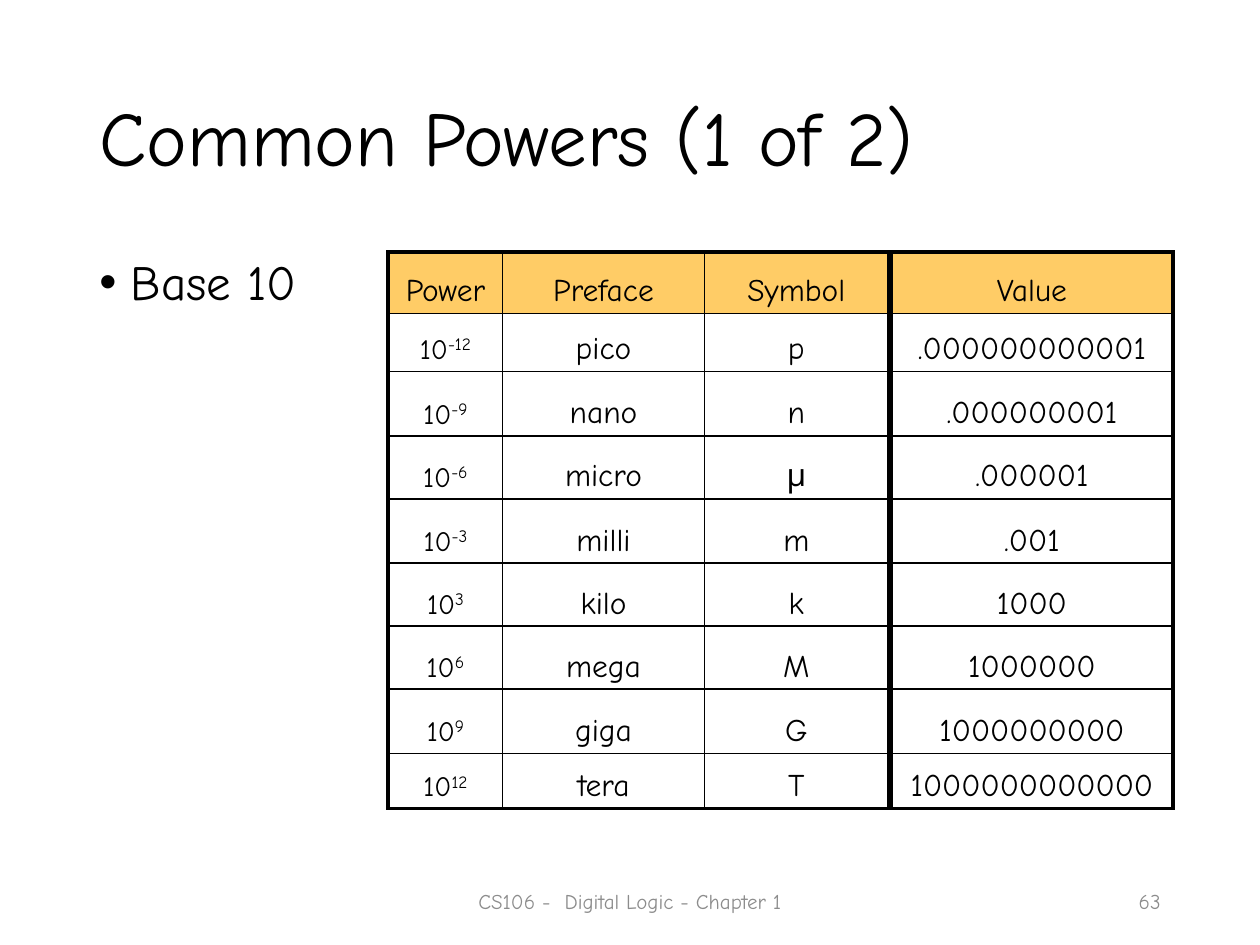
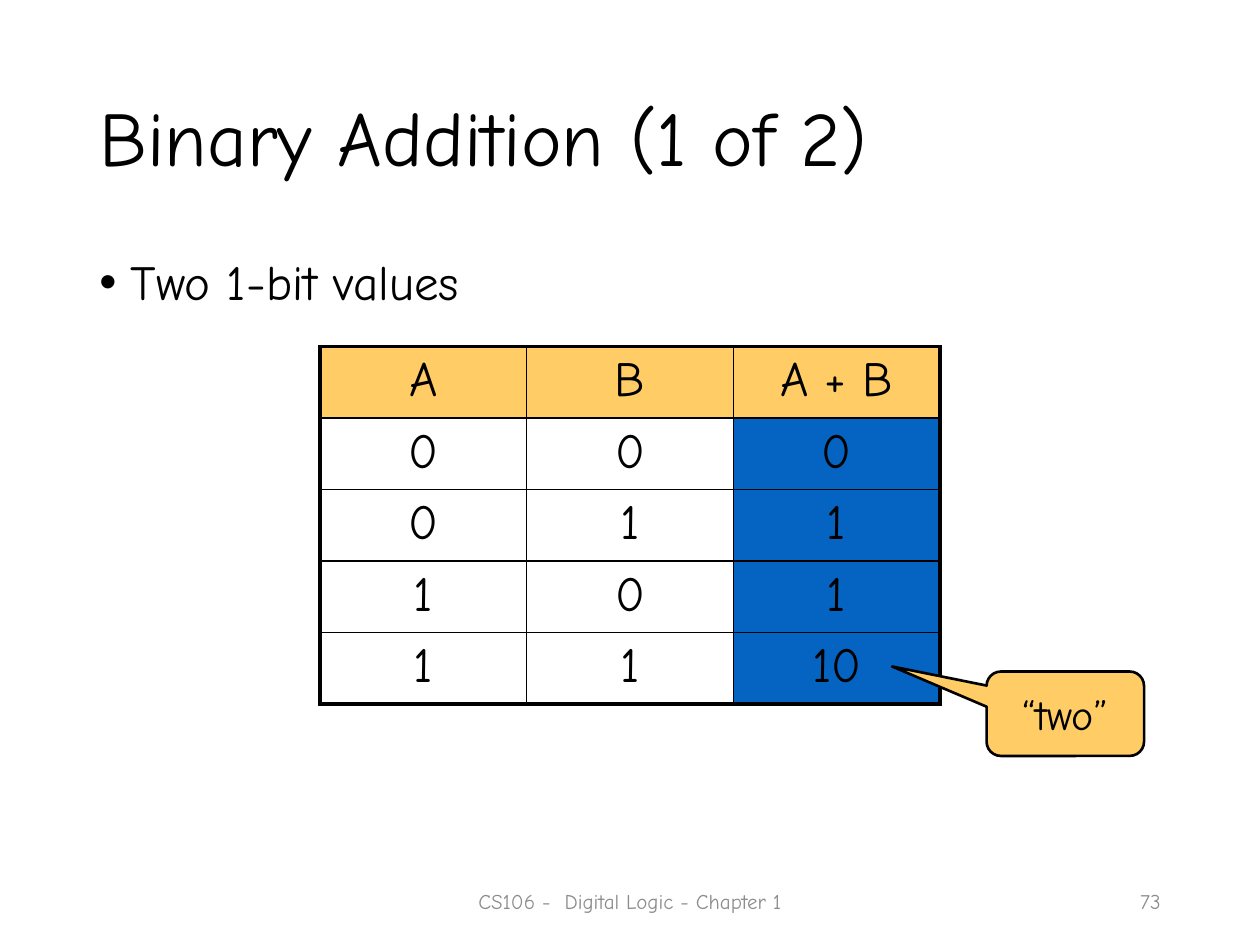
from dataclasses import dataclass

from lxml import etree
from pptx import Presentation
from pptx.dml.color import RGBColor
from pptx.enum.shapes import MSO_SHAPE
from pptx.enum.text import MSO_ANCHOR, PP_ALIGN
from pptx.oxml.ns import qn
from pptx.slide import Slide
from pptx.table import _Cell
from pptx.text.text import TextFrame, _Paragraph
from pptx.util import Inches, Pt

FONT = "Comic Neue"
BLACK = RGBColor(0x00, 0x00, 0x00)
GRAY = RGBColor(0x8C, 0x8C, 0x8C)
AMBER = RGBColor(0xFF, 0xCC, 0x66)
BLUE = RGBColor(0x05, 0x63, 0xC1)
THICK, THIN = Pt(2.25), Pt(1)
FOOTER = "CS106 -  Digital Logic - Chapter 1"
CONTENT_LEFT, CONTENT_WIDTH = 0.69, 8.62
TITLE_ONLY = 5


@dataclass
class Grid:
    """A table with a coloured header row; "^" in a cell starts a superscript."""
    left: float
    top: float
    column_widths: list[float]
    row_heights: list[float]
    rows: list[list[str]]
    size: float
    anchor: MSO_ANCHOR = MSO_ANCHOR.TOP
    line_spacing: float = 1.0
    result_column: int | None = None


POWERS = [
    ["Power", "Preface", "Symbol", "Value"],
    ["10^-12", "pico", "p", ".000000000001"],
    ["10^-9", "nano", "n", ".000000001"],
    ["10^-6", "micro", "μ", ".000001"],
    ["10^-3", "milli", "m", ".001"],
    ["10^3", "kilo", "k", "1000"],
    ["10^6", "mega", "M", "1000000"],
    ["10^9", "giga", "G", "1000000000"],
    ["10^12", "tera", "T", "1000000000000"],
]
POWER_ROW_HEIGHTS = [0.49, 0.46, 0.51, 0.5, 0.51, 0.5, 0.5, 0.51, 0.44]
ADDITION = [
    ["A", "B", "A + B"],
    ["0", "0", "0"],
    ["0", "1", "1"],
    ["1", "0", "1"],
    ["1", "1", "10"],
]


def style(paragraph: _Paragraph, size: float, color: RGBColor = BLACK,
          alignment: PP_ALIGN = PP_ALIGN.LEFT, line_spacing: float = 1.0) -> None:
    paragraph.alignment = alignment
    paragraph.line_spacing = line_spacing
    paragraph.space_before = Pt(0)
    paragraph.font.name = FONT
    paragraph.font.size = Pt(size)
    paragraph.font.bold = False
    paragraph.font.color.rgb = color


def add_text_box(slide: Slide, left: float, top: float, width: float,
                 height: float, words: str) -> TextFrame:
    box = slide.shapes.add_textbox(
        Inches(left), Inches(top), Inches(width), Inches(height))
    box.text_frame.word_wrap = True
    box.text_frame.text = words
    return box.text_frame


def add_footer_text(slide: Slide, left: float, width: float, words: str,
                    alignment: PP_ALIGN) -> None:
    frame = add_text_box(slide, left, 6.95, width, 0.4, words)
    frame.vertical_anchor = MSO_ANCHOR.MIDDLE
    style(frame.paragraphs[0], 12, GRAY, alignment)


def add_slide(presentation: Presentation, heading: str, bullet: str,
              number: int) -> Slide:
    slide = presentation.slides.add_slide(presentation.slide_layouts[TITLE_ONLY])
    title = slide.shapes.title
    title.left, title.top = Inches(CONTENT_LEFT), Inches(0.4)
    title.width, title.height = Inches(CONTENT_WIDTH), Inches(1.45)
    title.text_frame.text = heading
    title.text_frame.vertical_anchor = MSO_ANCHOR.MIDDLE
    style(title.text_frame.paragraphs[0], 44, line_spacing=0.9)

    body = add_text_box(slide, CONTENT_LEFT, 2, CONTENT_WIDTH, 4.76, bullet)
    paragraph = body.paragraphs[0]
    properties = paragraph._p.get_or_add_pPr()
    properties.set("marL", str(Inches(0.25)))
    properties.set("indent", str(Inches(-0.25)))
    etree.SubElement(properties, qn("a:buFont"), typeface="Arial")
    etree.SubElement(properties, qn("a:buChar"), char="•")
    style(paragraph, 28, line_spacing=0.9)

    add_footer_text(slide, 3.31, 3.38, FOOTER, PP_ALIGN.CENTER)
    add_footer_text(slide, 7.06, 2.25, str(number), PP_ALIGN.RIGHT)
    return slide


def set_borders(cell: _Cell, widths: dict[str, int]) -> None:
    """Put black borders, keyed L, R, T, B in that order, ahead of the fill."""
    properties = cell._tc.get_or_add_tcPr()
    for position, (side, width) in enumerate(widths.items()):
        line = etree.Element(qn(f"a:ln{side}"), w=str(width))
        fill = etree.SubElement(line, qn("a:solidFill"))
        etree.SubElement(fill, qn("a:srgbClr"), val=str(BLACK))
        properties.insert(position, line)


def fill_cell_text(cell: _Cell, words: str, grid: Grid) -> None:
    cell.vertical_anchor = grid.anchor
    paragraph = cell.text_frame.paragraphs[0]
    base, _, exponent = words.partition("^")
    style(paragraph, grid.size, alignment=PP_ALIGN.CENTER,
          line_spacing=grid.line_spacing)
    base_run = paragraph.add_run()
    base_run.text = base
    if exponent:
        base_run.font.size = Pt(16)
        power_run = paragraph.add_run()
        power_run.text = exponent
        power_run.font.size = Pt(17)
        power_run._r.get_or_add_rPr().set("baseline", "30000")


def add_grid(slide: Slide, grid: Grid) -> None:
    last_row, last_column = len(grid.rows) - 1, len(grid.column_widths) - 1
    table = slide.shapes.add_table(
        last_row + 1, last_column + 1, Inches(grid.left), Inches(grid.top),
        Inches(sum(grid.column_widths)), Inches(sum(grid.row_heights))).table
    table.first_row = table.horz_banding = False
    for column, width in zip(table.columns, grid.column_widths):
        column.width = Inches(width)
    for row, height in zip(table.rows, grid.row_heights):
        row.height = Inches(height)
    for i, row_words in enumerate(grid.rows):
        for j, words in enumerate(row_words):
            cell = table.cell(i, j)
            fill_cell_text(cell, words, grid)
            if i == 0 or j == grid.result_column:
                cell.fill.solid()
                cell.fill.fore_color.rgb = AMBER if i == 0 else BLUE
            else:
                cell.fill.background()
            set_borders(cell, {
                "L": THICK if j == 0 else THIN,
                "R": THICK if j == last_column else THIN,
                "T": THICK if i == 0 else THIN,
                "B": THICK if i == last_row else THIN,
            })


def add_callout(slide: Slide, words: str) -> None:
    callout = slide.shapes.add_shape(
        MSO_SHAPE.ROUNDED_RECTANGULAR_CALLOUT,
        Inches(7.83), Inches(5.33), Inches(1.25), Inches(0.67))
    for index, value in enumerate((-1.1, -0.56, 0.17)):
        callout.adjustments[index] = value
    callout.shadow.inherit = False
    callout.fill.solid()
    callout.fill.fore_color.rgb = AMBER
    callout.line.color.rgb = BLACK
    callout.line.width = Pt(1.5)
    callout.text_frame.text = words
    callout.text_frame.vertical_anchor = MSO_ANCHOR.MIDDLE
    style(callout.text_frame.paragraphs[0], 24, alignment=PP_ALIGN.CENTER)


def add_powers_slide(presentation: Presentation) -> None:
    slide = add_slide(presentation, "Common Powers (1 of 2)", "Base 10", 63)
    names = [row[:3] for row in POWERS]
    values = [row[3:] for row in POWERS]
    for left, widths, rows in ((3.08, [0.91, 1.6, 1.46], names),
                               (7.07, [2.24], values)):
        add_grid(slide, Grid(left, 2, widths, POWER_ROW_HEIGHTS, rows, 18,
                             MSO_ANCHOR.BOTTOM, 0.8))


def add_addition_slide(presentation: Presentation) -> None:
    slide = add_slide(presentation, "Binary Addition (1 of 2)",
                      "Two 1-bit values", 73)
    add_grid(slide, Grid(2.54, 2.75, [1.64] * 3, [0.55] * len(ADDITION),
                         ADDITION, 28, result_column=2))
    add_callout(slide, "“two”")


def main() -> None:
    presentation = Presentation()
    presentation.slide_width, presentation.slide_height = Inches(10), Inches(7.5)
    add_powers_slide(presentation)
    add_addition_slide(presentation)
    presentation.save("out.pptx")


if __name__ == "__main__":
    main()
